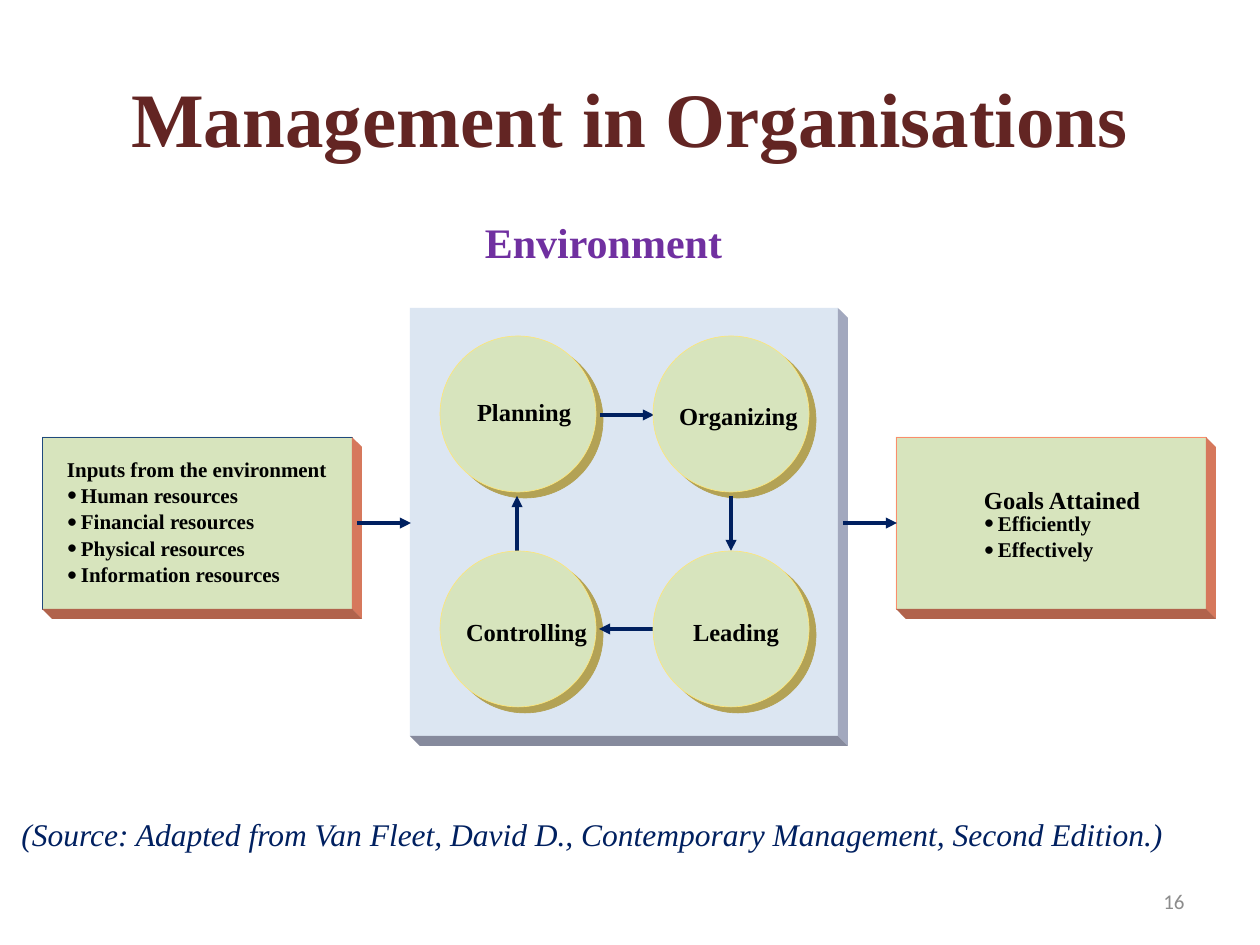
from dataclasses import dataclass

from lxml import etree
from pptx import Presentation, util as u
from pptx.dml.color import RGBColor
from pptx.enum import shapes, text
from pptx.oxml.ns import qn


@dataclass(frozen=True)
class Theme:
    """Colours, fonts and type sizes of the slide."""
    serif: str = "Times New Roman"
    sans: str = "Calibri"
    title: str = "632523"
    environment: str = "7030A0"
    navy: str = "002060"
    ink: str = "000000"
    grey: str = "8C8C8C"
    panel: str = "DCE6F2"
    panel_side: str = "A2A8BE"
    panel_base: str = "868A9D"
    green: str = "D7E4BD"
    side: str = "D6785C"
    base: str = "B1634C"
    input_edge: str = "1F497D"
    goal_edge: str = "FB8D6C"
    circle_shadow: str = "B3A255"
    circle_edge: str = "FEE679"
    title_size: int = 44
    environment_size: int = 24
    source_size: int = 18
    label_size: int = 14
    list_size: int = 12
    list_pitch: float = 15.1
    hairline: float = 0.38
    arrow: float = 2.13


THEME = Theme()
BEVEL = 10
CIRCLE = 156
COLUMNS = (440, 653)
ROWS = (336, 551)


def px(*lengths):
    """Turn pixel lengths into EMU."""
    return [u.Emu(round(length * 914400 / 126)) for length in lengths]


def paint(shape, fill, edge=None):
    """Give a shape a flat fill and an optional hairline."""
    shape.shadow.inherit = False
    shape.fill.solid()
    shape.fill.fore_color.rgb = RGBColor.from_string(fill)
    if edge:
        shape.line.color.rgb = RGBColor.from_string(edge)
        shape.line.width = u.Pt(THEME.hairline)
    else:
        shape.line.fill.background()


def add_preset(slide, kind, bounds, fill, edge=None):
    """Draw a painted preset shape."""
    paint(slide.shapes.add_shape(kind, *px(*bounds)), fill, edge)


def add_face(slide, corners, fill):
    """Draw one slanted face of a block."""
    start, *others = [px(*corner) for corner in corners]
    outline = slide.shapes.build_freeform(*start)
    outline.add_line_segments(others, close=True)
    paint(outline.convert_to_shape(), fill)


def add_block(slide, bounds, front, side, base, edge=None):
    """Draw a rectangle with a right and a bottom bevel."""
    left, top, width, height = bounds
    right, bottom = left + width, top + height
    add_preset(slide, shapes.MSO_SHAPE.RECTANGLE, bounds, front, edge)
    outer = (right + BEVEL, bottom + BEVEL)
    add_face(slide, [(right, top), (right + BEVEL, top + BEVEL), outer, (right, bottom)], side)
    add_face(slide, [(left, bottom), (right, bottom), outer, (left + BEVEL, bottom + BEVEL)], base)


def add_circles(slide, fill, edge, dx=0, dy=0):
    """Draw the two by two grid of circles."""
    for top in ROWS:
        for left in COLUMNS:
            bounds = (left + dx, top + dy, CIRCLE, CIRCLE)
            add_preset(slide, shapes.MSO_SHAPE.OVAL, bounds, fill, edge)


def add_arrow(slide, start, end):
    """Draw a straight arrow from start to end."""
    arrow = slide.shapes.add_connector(shapes.MSO_CONNECTOR.STRAIGHT, *px(*start, *end))
    arrow.line.color.rgb = RGBColor.from_string(THEME.navy)
    arrow.line.width = u.Pt(THEME.arrow)
    etree.SubElement(arrow.line._get_or_add_ln(), qn("a:tailEnd"), type="triangle")
    etree.SubElement(arrow._element.spPr, qn("a:effectLst"))


def style(paragraph, size, color, face=THEME.serif, bold=False, italic=False):
    """Set the font of a paragraph."""
    font = paragraph.font
    font.name, font.size, font.bold, font.italic = face, u.Pt(size), bold, italic
    font.color.rgb = RGBColor.from_string(color)


def add_frame(slide, bounds, inset=True):
    """Add an empty wrapping text box and return its text frame."""
    frame = slide.shapes.add_textbox(*px(*bounds)).text_frame
    frame.word_wrap = True
    if not inset:
        frame.margin_left = frame.margin_top = frame.margin_right = frame.margin_bottom = 0
    return frame


def add_text(slide, words, bounds, align, size, color, middle=False, **font):
    """Add one aligned line of text."""
    frame = add_frame(slide, bounds)
    if middle:
        frame.vertical_anchor = text.MSO_ANCHOR.MIDDLE
    line = frame.paragraphs[0]
    line.text, line.alignment = words, align
    style(line, size, color, **font)


def add_label(slide, words, left, top, width, size=THEME.label_size):
    """Add a bold one-line label."""
    frame = add_frame(slide, (left, top, width, size * 2), inset=False)
    frame.paragraphs[0].text = words
    style(frame.paragraphs[0], size, THEME.ink, bold=True)


def add_list(slide, items, left, top, width):
    """Add a bold bulleted list."""
    frame = add_frame(slide, (left, top, width, 26 * len(items)), inset=False)
    indent = px(14)[0]
    for index, item in enumerate(items):
        entry = frame.add_paragraph() if index else frame.paragraphs[0]
        entry.text = item
        entry.line_spacing = u.Pt(THEME.list_pitch)
        properties = entry._p.get_or_add_pPr()
        properties.set("marL", str(indent))
        properties.set("indent", str(-indent))
        etree.SubElement(properties, qn("a:buFont"), typeface=THEME.sans)
        etree.SubElement(properties, qn("a:buChar"), char="•")
        style(entry, THEME.list_size, THEME.ink, bold=True)


def main():
    """Build and save the slide."""
    deck = Presentation()
    deck.slide_width, deck.slide_height = px(1260, 945)
    slide = deck.slides.add_slide(deck.slide_layouts[6])
    align = text.PP_ALIGN

    add_text(slide, "Management in Organisations", (63, 38, 1134, 158), align.CENTER,
             THEME.title_size, THEME.title, middle=True, bold=True)
    add_text(slide, "Environment", (441, 210, 325, 63), align.CENTER,
             THEME.environment_size, THEME.environment, bold=True)

    add_block(slide, (410, 308, 428, 428), THEME.panel, THEME.panel_side, THEME.panel_base)
    for left, edge in ((42, THEME.input_edge), (896, THEME.goal_edge)):
        add_block(slide, (left, 437, 310, 172), THEME.green, THEME.side, THEME.base, edge)

    add_circles(slide, THEME.circle_shadow, THEME.circle_shadow, 7, 6)
    for start, end in (((357, 523), (411, 523)), ((843, 523), (897, 523)),
                       ((600, 415), (654, 415)), ((731, 496), (731, 551)),
                       ((653, 629), (599, 629)), ((517, 551), (517, 496))):
        add_arrow(slide, start, end)
    add_circles(slide, THEME.green, THEME.circle_edge)

    for function, left, top, width in (("Planning", 477, 397, 106), ("Organizing", 679, 401, 130),
                                       ("Leading", 693, 617, 97), ("Controlling", 466, 617, 132)):
        add_label(slide, function, left, top, width)

    add_label(slide, "Inputs from the environment", 67, 457, 275, THEME.list_size)
    add_list(slide, [f"{kind} resources" for kind in
                     ("Human", "Financial", "Physical", "Information")], 67, 481, 240)
    add_label(slide, "Goals Attained", 984, 485, 170)
    add_list(slide, ["Efficiently", "Effectively"], 984, 509, 140)

    add_text(slide, "(Source: Adapted from Van Fleet, David D., Contemporary Management, Second Edition.)",
             (0, 809, 1176, 89), align.RIGHT, THEME.source_size, THEME.navy, italic=True)
    add_text(slide, "16", (903, 876, 294, 50), align.RIGHT,
             THEME.list_size, THEME.grey, middle=True, face=THEME.sans)
    deck.save("out.pptx")


if __name__ == "__main__":
    main()
